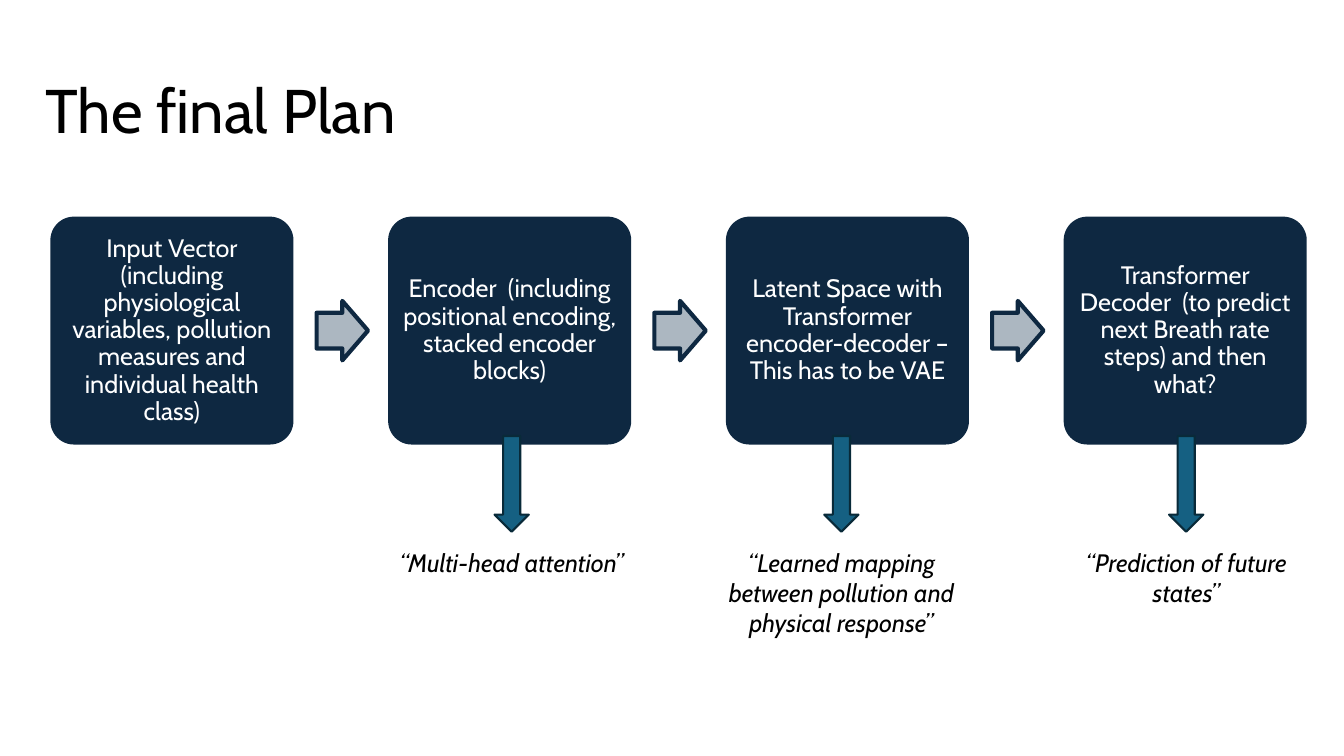
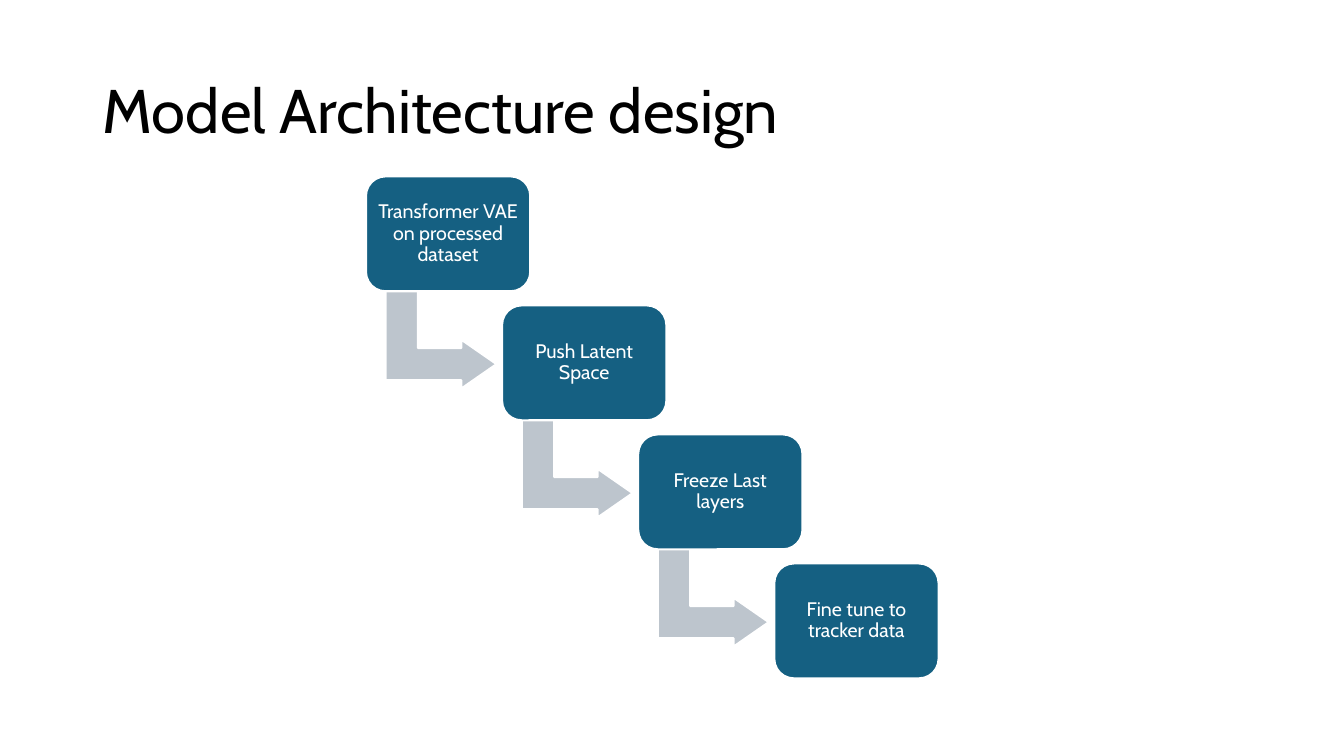
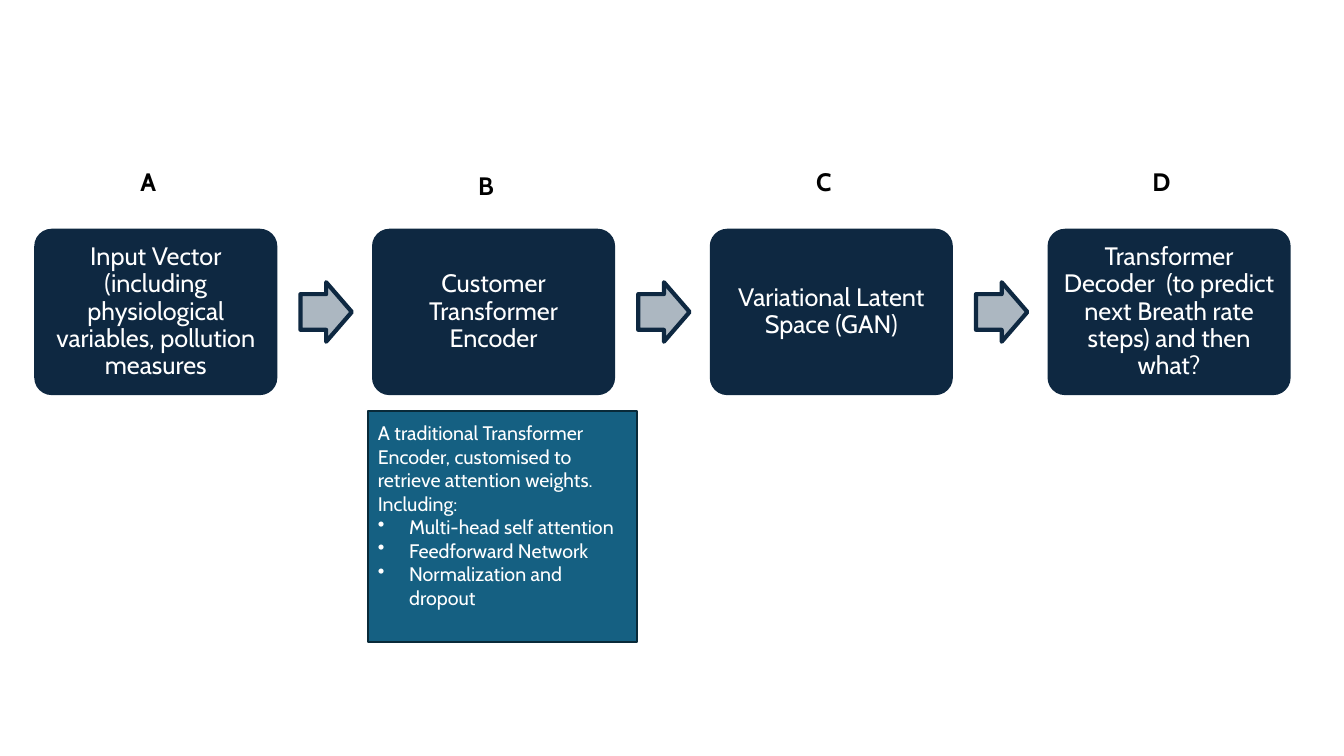
from lxml.etree import SubElement
from pptx import Presentation
from pptx.dml.color import RGBColor
from pptx.enum.shapes import MSO_SHAPE
from pptx.enum.text import MSO_ANCHOR, PP_ALIGN
from pptx.oxml.ns import qn
from pptx.util import Inches, Pt

FONT = "Cabin"
NAVY, TEAL, TEAL_EDGE = "0E2841", "156082", "092A39"
GREY, PALE_GREY = "ACB7C1", "BDC5CD"
WHITE, BLACK = "FFFFFF", "000000"
FLOW_PITCH = 3.35
FLOW_BOX_WIDTH = 2.39


def rgb(value):
    """Return the colour for a hex string."""
    return RGBColor.from_string(value)


def add_bullet(para):
    """Give a paragraph a round bullet and a hanging indent."""
    properties = para._p.get_or_add_pPr()
    properties.set("marL", str(Inches(0.31)))
    properties.set("indent", str(-Inches(0.31)))
    SubElement(properties, qn("a:buChar")).set("char", "•")


def write_text(shape, text, size=18, color=BLACK, bold=False, italic=False,
               align=PP_ALIGN.CENTER, anchor=MSO_ANCHOR.MIDDLE, spacing=None,
               insets=(0.1, 0.05, 0.1, 0.05), bullets=()):
    """Fill a shape with a text paragraph and optional bulleted ones."""
    frame = shape.text_frame
    frame.word_wrap = True
    frame.vertical_anchor = anchor
    (frame.margin_left, frame.margin_top,
     frame.margin_right, frame.margin_bottom) = map(Inches, insets)
    for index, line in enumerate((text, *bullets)):
        para = frame.add_paragraph() if index else frame.paragraphs[0]
        para.text = line
        para.alignment = align
        if spacing:
            para.line_spacing = spacing
        if index:
            add_bullet(para)
        for span in para.runs:
            span.font.name = FONT
            span.font.size = Pt(size)
            span.font.color.rgb = rgb(color)
            span.font.bold = bold
            span.font.italic = italic


def add_text(page, text, left, top, width, height, **text_format):
    """Add a text box."""
    box = page.shapes.add_textbox(*map(Inches, (left, top, width, height)))
    write_text(box, text, **text_format)


def add_title(page, text, left, width):
    """Add the slide title."""
    add_text(page, text, left, 0.4, width, 1.45, size=44,
             align=PP_ALIGN.LEFT, spacing=0.9)


def add_block(page, kind, left, top, width, height, fill, edge,
              weight=1.5, adjustments=(), rotation=0):
    """Add a filled and outlined preset shape."""
    shape = page.shapes.add_shape(
        kind, *map(Inches, (left, top, width, height)))
    shape.shadow.inherit = False
    shape.fill.solid()
    shape.fill.fore_color.rgb = rgb(fill)
    shape.line.color.rgb = rgb(edge)
    shape.line.width = Pt(weight)
    shape.rotation = rotation
    for index, value in enumerate(adjustments):
        shape.adjustments[index] = value
    return shape


def add_flow(page, labels, left, top, height):
    """Add a row of rounded boxes with an arrow in each gap."""
    for index, label in enumerate(labels):
        box_left = left + index * FLOW_PITCH
        if index:
            add_block(page, MSO_SHAPE.RIGHT_ARROW, box_left - 0.72,
                      top + (height - 0.59) / 2, 0.51, 0.59, GREY, NAVY,
                      weight=3, adjustments=(0.6, 0.5))
        box = add_block(page, MSO_SHAPE.ROUNDED_RECTANGLE, box_left, top,
                        FLOW_BOX_WIDTH, height, NAVY, NAVY, adjustments=(0.1,))
        write_text(box, label, color=WHITE, spacing=0.9, insets=(0.07,) * 4)


def add_note(page, text, left, height):
    """Add a down arrow with a quoted remark below it."""
    width, length = 2.65, 0.95
    add_block(page, MSO_SHAPE.RIGHT_ARROW, left + (width - length) / 2, 4.63,
              length, 0.34, TEAL, TEAL_EDGE, rotation=90)
    add_text(page, text, left, 5.38, width, height, italic=True,
             anchor=MSO_ANCHOR.TOP)


def add_staircase(page, labels, left, top):
    """Add boxes stepping down to the right, joined by bent arrows."""
    for index, label in enumerate(labels):
        step_left = left + index * 1.35
        step_top = top + index * 1.28
        if index < len(labels) - 1:
            add_block(page, MSO_SHAPE.BENT_UP_ARROW, step_left + 0.26,
                      step_top + 1.07, 0.97, 1.1, PALE_GREY, WHITE,
                      adjustments=(0.33, 0.25, 0.36), rotation=90)
        box = add_block(page, MSO_SHAPE.ROUNDED_RECTANGLE, step_left, step_top,
                        1.63, 1.14, TEAL, WHITE, adjustments=(0.17,))
        write_text(box, label, size=14, color=WHITE, spacing=0.9,
                   insets=(0.06,) * 4)


def build_plan(page):
    """Build the plan slide."""
    add_flow(page, (
        "Input Vector (including physiological variables, pollution measures "
        "and individual health class)",
        "Encoder  (including positional encoding, stacked encoder blocks)",
        "Latent Space with Transformer encoder-decoder – This has to be VAE",
        "Transformer Decoder  (to predict next Breath rate steps) and then what?",
    ), 0.51, 2.16, 2.24)
    add_title(page, "The final Plan", 0.35, 12.06)
    for text, left, height in (
        ("“Multi-head attention”", 3.75, 0.4),
        ("“Learned mapping between pollution and physical response”", 7.02, 1.01),
        ("“Prediction of future states”", 10.44, 0.71),
    ):
        add_note(page, text, left, height)


def build_architecture(page):
    """Build the architecture slide."""
    add_title(page, "Model Architecture design", 0.92, 11.5)
    add_staircase(page, (
        "Transformer VAE on processed dataset",
        "Push Latent Space",
        "Freeze Last layers",
        "Fine tune to tracker data",
    ), 3.63, 1.75)


def build_stages(page):
    """Build the slide of lettered stages."""
    left = 0.35
    add_flow(page, (
        "Input Vector (including physiological variables, pollution measures",
        "Customer Transformer Encoder",
        "Variational Latent Space (GAN)",
        "Transformer Decoder  (to predict next Breath rate steps) and then what?",
    ), left, 2.28, 1.63)
    details = add_block(page, MSO_SHAPE.RECTANGLE, 3.65, 4.08, 2.67, 2.29,
                        TEAL, TEAL_EDGE)
    write_text(details, "A traditional Transformer Encoder, customised to "
               "retrieve attention weights.\vIncluding:",
               size=14, color=WHITE, align=PP_ALIGN.LEFT,
               insets=(0.1, 0.05, 0.1, 0.28),
               bullets=("Multi-head self attention", "Feedforward Network",
                        "Normalization and dropout"))
    for index, (letter, top) in enumerate(zip("ABCD", (1.6, 1.64, 1.6, 1.6))):
        add_text(page, letter, left + 0.43 + index * FLOW_PITCH, top, 1.38, 0.4,
                 bold=True, anchor=MSO_ANCHOR.TOP)


def main():
    """Build and save the deck."""
    deck = Presentation()
    deck.slide_width, deck.slide_height = Inches(13.33), Inches(7.5)
    for build in (build_plan, build_architecture, build_stages):
        build(deck.slides.add_slide(deck.slide_layouts[6]))
    deck.save("out.pptx")


if __name__ == "__main__":
    main()
